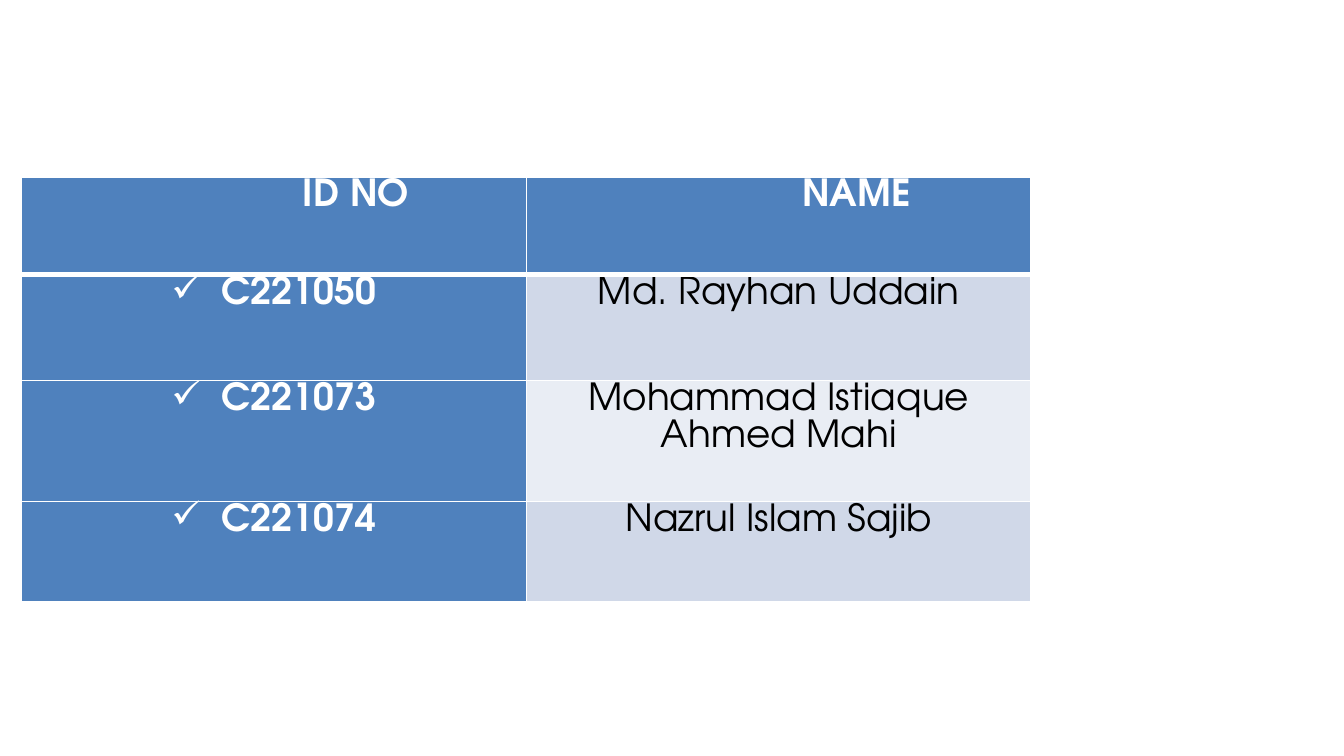
from dataclasses import dataclass

from lxml.etree import SubElement
from pptx import Presentation
from pptx.dml.color import RGBColor
from pptx.enum.text import PP_ALIGN as Align
from pptx.oxml import parse_xml
from pptx.oxml.ns import nsdecls, qn
from pptx.util import Cm, Pt


@dataclass(frozen=True)
class Theme:
    font: str = "TeX Gyre Adventor"
    size: int = 20
    accent: str = "4F81BD"
    bands: tuple = ("D0D8E8", "E9EDF4")
    light: str = "FFFFFF"
    dark: str = "000000"
    thin: int = 1
    thick: int = 3


theme = Theme()


def set_borders(cell, widths):
    """Draw the cell's borders; widths are points keyed by side."""
    properties = cell._tc.get_or_add_tcPr()
    for position, side in enumerate("LRTB"):
        properties.insert(position, parse_xml(
            f'<a:ln{side} {nsdecls("a")} w="{Pt(widths[side])}">'
            f'<a:solidFill><a:srgbClr val="{theme.light}"/></a:solidFill>'
            f'</a:ln{side}>'))


def set_indent(paragraph, margin, first_line=0):
    properties = paragraph._p.get_or_add_pPr()
    properties.set("marL", str(margin))
    properties.set("indent", str(first_line))
    return properties


# Slide
presentation = Presentation()
presentation.slide_width = Cm(25.4)
presentation.slide_height = Cm(14.28)
slide = presentation.slides.add_slide(presentation.slide_layouts[6])

# Member table
members = [
    ("ID NO", "NAME"),
    ("C221050", "Md. Rayhan Uddain"),
    ("C221073", "Mohammad Istiaque Ahmed Mahi"),
    ("C221074", "Nazrul Islam Sajib"),
]
row_heights = [Cm(1.85), Cm(2), Cm(2.28), Cm(1.9)]
header_indents = [Cm(3.1), Cm(2.93)]
column_width = Cm(9.54)

table = slide.shapes.add_table(
    len(members), 2, Cm(0.41), Cm(3.34), 2 * column_width, sum(row_heights)).table
table.first_col = True
for column in table.columns:
    column.width = column_width

for row_index, (row, texts) in enumerate(zip(table.rows, members)):
    row.height = row_heights[row_index]
    is_header = row_index == 0
    for column_index, (cell, text) in enumerate(zip(row.cells, texts)):
        is_id = column_index == 0
        emphasized = is_header or is_id

        # Cell fill, margins and borders
        band = theme.bands[(row_index - 1) % 2]
        cell.fill.solid()
        cell.fill.fore_color.rgb = RGBColor.from_string(
            theme.accent if emphasized else band)
        cell.margin_left = cell.margin_right = Cm(0.18)
        cell.margin_top = cell.margin_bottom = 0
        set_borders(cell, {
            "L": theme.thin,
            "R": theme.thin,
            "T": theme.thick if row_index == 1 else theme.thin,
            "B": theme.thick if is_header else theme.thin,
        })

        # Text
        paragraph = cell.text_frame.paragraphs[0]
        paragraph.text = text
        paragraph.alignment = Align.CENTER
        paragraph.line_spacing = 1.07
        font = paragraph.runs[0].font
        font.name = theme.font
        font.size = Pt(theme.size)
        font.bold = emphasized
        font.color.rgb = RGBColor.from_string(
            theme.light if emphasized else theme.dark)

        # Header offset, or check mark before each ID
        if is_header:
            set_indent(paragraph, header_indents[column_index])
        elif is_id:
            properties = set_indent(paragraph, Cm(0.95), -Cm(0.95))
            SubElement(properties, qn("a:buChar")).set("char", "✓")

presentation.save("out.pptx")
